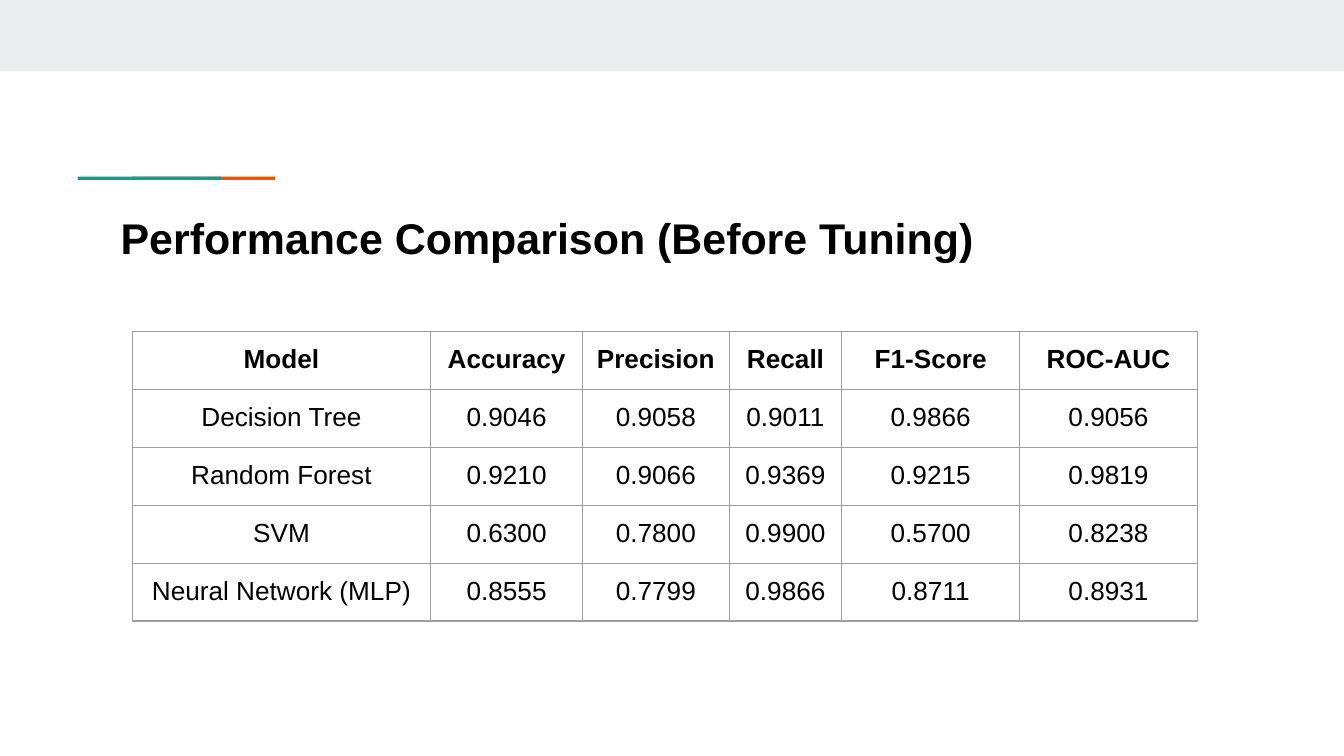
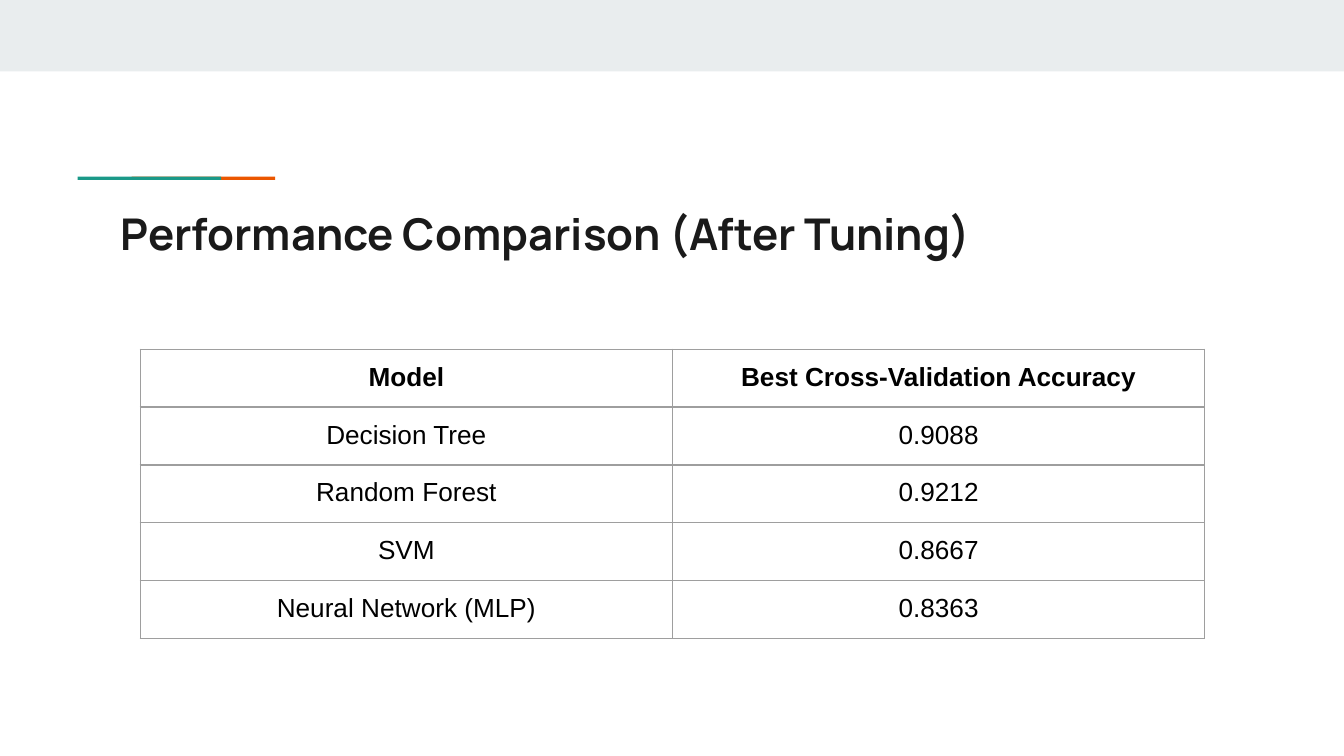
from dataclasses import dataclass

from lxml import etree
from pptx import Presentation
from pptx import util as u
from pptx.dml.color import RGBColor
from pptx.enum import shapes, text
from pptx.oxml import ns

BAND, ORANGE, TEAL = "E9EDEE", "EB5600", "1A9988"
BLACK, INK, BORDER = "000000", "1A1A1A", "9E9E9E"
BODY_FONT = "Arial"
INSET = u.Cm(0.25)
ROW_HEIGHT = 1.06
MODELS = ["Decision Tree", "Random Forest", "SVM", "Neural Network (MLP)"]


@dataclass(frozen=True)
class Bar:
    left: float
    top: float
    width: float
    height: float
    color: str


@dataclass(frozen=True)
class Title:
    wording: str
    font: str
    size: float
    color: str
    space_before: float = 0
    line_spacing: float = 1.0


@dataclass(frozen=True)
class ScoreTable:
    left: float
    top: float
    widths: list[float]
    measures: list[str]
    scores: list[list[str]]


@dataclass(frozen=True)
class Comparison:
    title: Title
    table: ScoreTable


BARS = [
    Bar(0, 0, 25.4, 1.35, BAND),
    Bar(2.49, 3.34, 2.71, 0.06, ORANGE),
    Bar(1.47, 3.34, 2.71, 0.06, TEAL),
]

COMPARISONS = [
    Comparison(
        Title("Performance Comparison (Before Tuning)", BODY_FONT, 23, BLACK, 14, 1.15),
        ScoreTable(
            2.5, 6.27, [5.64, 2.87, 2.77, 2.13, 3.36, 3.36],
            ["Accuracy", "Precision", "Recall", "F1-Score", "ROC-AUC"],
            [
                ["0.9046", "0.9058", "0.9011", "0.9866", "0.9056"],
                ["0.9210", "0.9066", "0.9369", "0.9215", "0.9819"],
                ["0.6300", "0.7800", "0.9900", "0.5700", "0.8238"],
                ["0.8555", "0.7799", "0.9866", "0.8711", "0.8931"],
            ],
        ),
    ),
    Comparison(
        Title("Performance Comparison (After Tuning)", "Manrope", 23.4, INK),
        ScoreTable(
            2.65, 6.6, [10.06, 10.06],
            ["Best Cross-Validation Accuracy"],
            [["0.9088"], ["0.9212"], ["0.8667"], ["0.8363"]],
        ),
    ),
]


def rgb(color: str) -> RGBColor:
    return RGBColor.from_string(color)


def style_font(paragraph, name: str, size: float, color: str, bold: bool) -> None:
    font = paragraph.font
    font.name, font.size, font.bold = name, u.Pt(size), bold
    font.color.rgb = rgb(color)


def set_insets(frame) -> None:
    frame.margin_left = frame.margin_right = INSET
    frame.margin_top = frame.margin_bottom = INSET


def draw_bar(slide, bar: Bar) -> None:
    shape = slide.shapes.add_shape(
        shapes.MSO_SHAPE.RECTANGLE,
        u.Cm(bar.left), u.Cm(bar.top), u.Cm(bar.width), u.Cm(bar.height),
    )
    shape.shadow.inherit = False
    shape.fill.solid()
    shape.fill.fore_color.rgb = rgb(bar.color)
    shape.line.fill.background()


def draw_title(slide, title: Title) -> None:
    shape = slide.shapes.add_textbox(u.Cm(2.03), u.Cm(3.66), u.Cm(21.36), u.Cm(1.5))
    frame = shape.text_frame
    frame.word_wrap = True
    frame.vertical_anchor = text.MSO_ANCHOR.MIDDLE
    set_insets(frame)
    paragraph = frame.paragraphs[0]
    paragraph.text = title.wording
    paragraph.space_before = u.Pt(title.space_before)
    paragraph.line_spacing = title.line_spacing
    style_font(paragraph, title.font, title.size, title.color, True)


def draw_borders(cell) -> None:
    properties = cell._tc.get_or_add_tcPr()
    for position, side in enumerate(("lnL", "lnR", "lnT", "lnB")):
        line = etree.Element(ns.qn(f"a:{side}"), w=str(u.Pt(0.75)))
        fill = etree.SubElement(line, ns.qn("a:solidFill"))
        etree.SubElement(fill, ns.qn("a:srgbClr"), val=BORDER)
        properties.insert(position, line)


def fill_cell(cell, wording: str, bold: bool) -> None:
    cell.fill.background()
    set_insets(cell)
    draw_borders(cell)
    paragraph = cell.text_frame.paragraphs[0]
    paragraph.text = wording
    paragraph.alignment = text.PP_ALIGN.CENTER
    style_font(paragraph, BODY_FONT, 14, BLACK, bold)


def draw_table(slide, scores: ScoreTable) -> None:
    rows = [["Model", *scores.measures]]
    rows += [[model, *values] for model, values in zip(MODELS, scores.scores)]
    table = slide.shapes.add_table(
        len(rows), len(scores.widths), u.Cm(scores.left), u.Cm(scores.top),
        u.Cm(sum(scores.widths)), u.Cm(ROW_HEIGHT * len(rows)),
    ).table
    table.first_row = table.horz_banding = False
    for column, width in zip(table.columns, scores.widths):
        column.width = u.Cm(width)
    for row_index, values in enumerate(rows):
        table.rows[row_index].height = u.Cm(ROW_HEIGHT)
        for column_index, wording in enumerate(values):
            fill_cell(table.cell(row_index, column_index), wording, row_index == 0)


def main() -> None:
    presentation = Presentation()
    presentation.slide_width, presentation.slide_height = u.Cm(25.4), u.Cm(14.29)
    for comparison in COMPARISONS:
        slide = presentation.slides.add_slide(presentation.slide_layouts[6])
        for bar in BARS:
            draw_bar(slide, bar)
        draw_title(slide, comparison.title)
        draw_table(slide, comparison.table)
    presentation.save("out.pptx")


if __name__ == "__main__":
    main()
